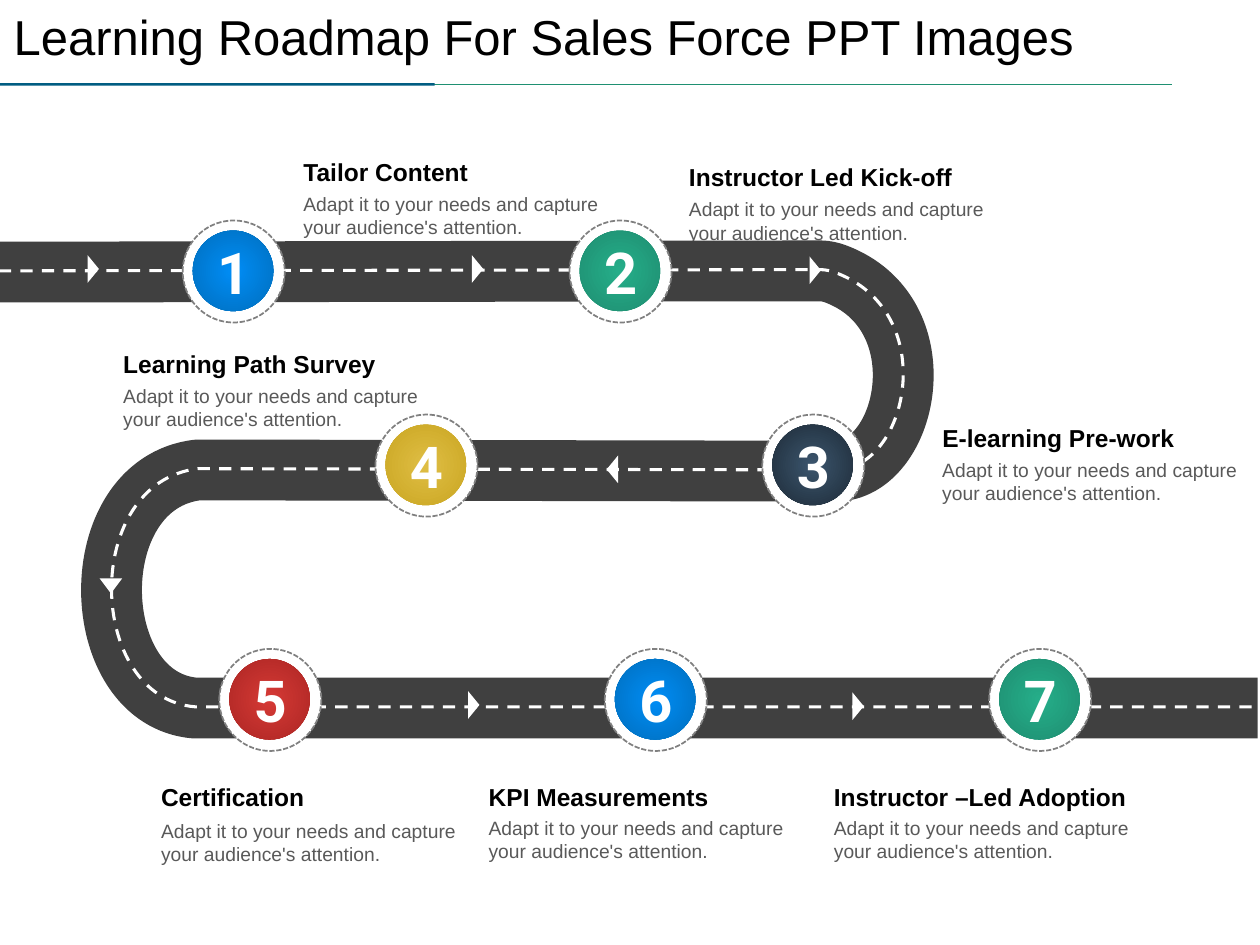
from dataclasses import dataclass

from lxml import etree
from pptx import Presentation
from pptx.dml.color import RGBColor
from pptx.enum import dml, shapes, text
from pptx.oxml.ns import qn
from pptx.util import Inches, Pt

TITLE = "Learning Roadmap For Sales Force PPT Images"
DETAIL = "Adapt it to your needs and capture your audience's attention."

LABELS = [
    ("Tailor Content", 2.31, 1.19, 1.66, 1.48),
    ("Instructor Led Kick-off", 5.37, 1.23, 2.56, 1.52),
    ("Learning Path Survey", 0.88, 2.72, 2.43, 3.0),
    ("KPI Measurements", 3.78, 6.15, 2.38, 6.43),
    ("Certification", 1.18, 6.15, 1.47, 6.45),
    ("E-learning Pre-work", 7.38, 3.3, 2.38, 3.59),
    ("Instructor –Led Adoption", 6.52, 6.15, 2.6, 6.43),
]
ROAD_START = (-0.01, 2.15)
ROAD = [
    [(6.51, 2.14)],
    [(6.55, 2.14), (6.59, 2.15), (6.62, 2.16)],
    [(7.48, 2.47), (7.21, 3.74), (6.62, 3.73)],
    [(1.57, 3.72)],
    [(0.64, 3.83), (0.68, 5.54), (1.55, 5.61)],
    [(9.98, 5.61)],
]
ARROWS = [
    (0.63, 2.09, 0.22, 0.09, 90),
    (3.68, 2.09, 0.22, 0.09, 90),
    (0.79, 4.59, 0.18, 0.12, 180),
    (4.75, 3.68, 0.22, 0.09, 270),
    (6.36, 2.1, 0.22, 0.09, 90),
    (3.65, 5.55, 0.22, 0.09, 90),
    (6.7, 5.56, 0.22, 0.09, 90),
]
BADGES = [
    ("2", 4.52, 1.75, "green"),
    ("3", 6.05, 3.29, "navy"),
    ("4", 2.98, 3.29, "gold"),
    ("5", 1.74, 5.15, "red"),
    ("7", 7.85, 5.15, "green"),
    ("6", 4.8, 5.15, "blue"),
    ("1", 1.45, 1.75, "blue"),
]
RING, DISC, INSET = 0.81, 0.64, 0.08
NUMBER_W, NUMBER_H = 0.48, 0.66


@dataclass(frozen=True)
class Theme:
    title = dict(name="Arial", size=Pt(28), bold=False, color="000000")
    heading = dict(name="Arial", size=Pt(14), bold=True, color="000000")
    detail = dict(name="Arial", size=Pt(11), bold=False, color="595959")
    number = dict(name="Roboto", size=Pt(33), bold=True, color="FFFFFF")
    white = "FFFFFF"
    accent = "015D82"
    rule = "1F9072"
    road = "404040"
    ring = "808080"
    discs = {
        "blue": ((0, "008DF6"), (0.93, "0070C0")),
        "green": ((0.02, "25AD89"), (0.93, "1F9072")),
        "navy": ((0, "3B556D"), (0.93, "202E3B")),
        "gold": ((0, "DFBE45"), (0.93, "CBA723")),
        "red": ((0, "D63A36"), (0.93, "AE2724")),
    }


T = Theme()


def rgb(value):
    return RGBColor.from_string(value)


def add_text(s, words, box, style, **frame):
    tf = s.shapes.add_textbox(*map(Inches, box)).text_frame
    settings = dict(word_wrap=True, auto_size=text.MSO_AUTO_SIZE.SHAPE_TO_FIT_TEXT)
    for name, value in {**settings, **frame}.items():
        setattr(tf, name, value)
    p = tf.paragraphs[0]
    r = p.add_run()
    r.text = words
    for name, value in style.items():
        if name == "color":
            r.font.color.rgb = rgb(value)
        else:
            setattr(r.font, name, value)
    return p


def add_shape(s, kind, box, fill=None, rotation=0):
    sp = s.shapes.add_shape(kind, *map(Inches, box))
    sp.shadow.inherit = False
    sp.rotation = rotation
    sp.line.fill.background()
    if fill:
        sp.fill.solid()
        sp.fill.fore_color.rgb = rgb(fill)
    return sp


def set_line(line, color, width, dash=None):
    line.color.rgb = rgb(color)
    line.width = Pt(width)
    line.dash_style = dash


def set_radial(sp, stops):
    sp.fill.gradient()
    for stop, (position, color) in zip(sp.fill.gradient_stops, stops):
        stop.position = position
        stop.color.rgb = rgb(color)
    grad = sp.element.spPr.find(qn("a:gradFill"))
    grad.remove(grad.find(qn("a:lin")))
    radial = etree.SubElement(grad, qn("a:path"), path="circle")
    etree.SubElement(radial, qn("a:fillToRect"), l="50000", t="50000", r="50000", b="50000")


def bend_segments(sp):
    lines = iter(list(sp.element.iter(qn("a:lnTo"))))
    for segment in ROAD:
        group = [next(lines) for _ in segment]
        if len(group) == 1:
            continue
        outline = group[0].getparent()
        curve = etree.Element(qn("a:cubicBezTo"))
        outline.insert(outline.index(group[0]), curve)
        for line in group:
            curve.append(line[0])
            outline.remove(line)


def add_road(s, drop, color, width, dash=None):
    def place(point):
        return Inches(point[0]), Inches(point[1] + drop)

    builder = s.shapes.build_freeform(*place(ROAD_START), scale=1.0)
    points = [place(point) for segment in ROAD for point in segment]
    builder.add_line_segments(points, close=False)
    sp = builder.convert_to_shape()
    bend_segments(sp)
    sp.shadow.inherit = False
    sp.fill.background()
    set_line(sp.line, color, width, dash)


def add_header(s):
    add_text(s, TITLE, (0.01, 0, 9.51, 0.57), T.title)
    rule = s.shapes.add_connector(
        shapes.MSO_CONNECTOR.STRAIGHT, *map(Inches, (2.73, 0.67, 9.3, 0.67))
    )
    set_line(rule.line, T.rule, 0.5)
    etree.SubElement(rule.element.spPr, qn("a:effectLst"))
    add_shape(s, shapes.MSO_SHAPE.RECTANGLE, (0, 0.66, 3.45, 0.02), T.accent)


def add_badge(s, number, left, top, color):
    oval = shapes.MSO_SHAPE.OVAL
    ring = add_shape(s, oval, (left, top, RING, RING), T.white)
    set_line(ring.line, T.ring, 1, dml.MSO_LINE.SQUARE_DOT)
    disc = add_shape(s, oval, (left + INSET, top + INSET, DISC, DISC))
    set_radial(disc, T.discs[color])
    box = (left + (RING - NUMBER_W) / 2, top + INSET, NUMBER_W, NUMBER_H)
    p = add_text(s, number, box, T.number, word_wrap=False)
    p.alignment = text.PP_ALIGN.CENTER


def main():
    prs = Presentation()
    prs.slide_width, prs.slide_height = Inches(10), Inches(7.5)
    s = prs.slides.add_slide(prs.slide_layouts[6])
    add_header(s)
    for heading, left, top, width, detail_top in LABELS:
        add_text(s, heading, (left, top, width, 0.34), T.heading,
                 vertical_anchor=text.MSO_ANCHOR.MIDDLE)
        add_text(s, DETAIL, (left, detail_top, 2.6, 0.47), T.detail)
    add_road(s, 0.01, T.road, 34.75)
    add_road(s, 0, T.white, 1.75, dml.MSO_LINE.DASH)
    for *box, rotation in ARROWS:
        add_shape(s, shapes.MSO_SHAPE.ISOSCELES_TRIANGLE, box, T.white, rotation)
    for badge in BADGES:
        add_badge(s, *badge)
    prs.save("out.pptx")


if __name__ == "__main__":
    main()
